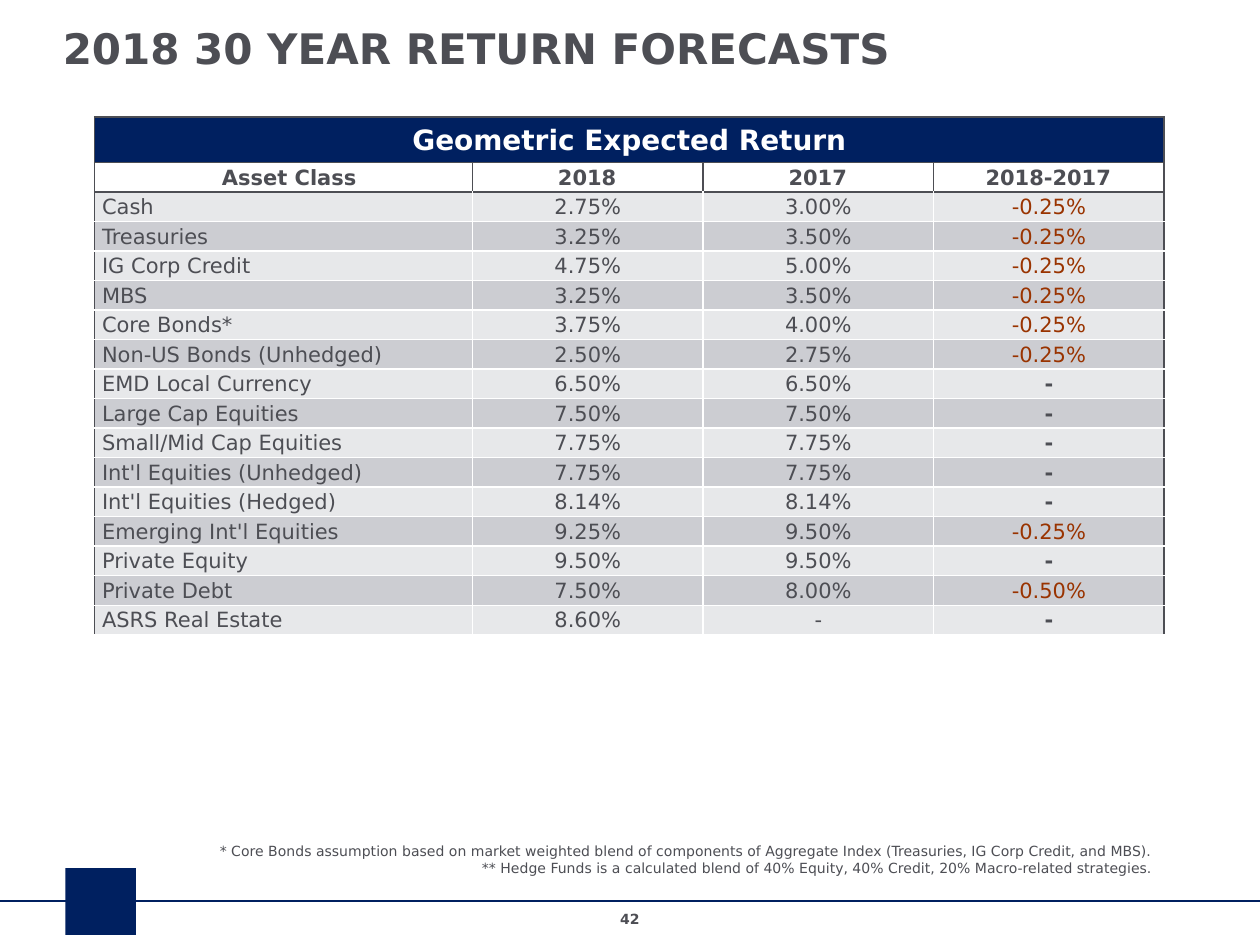
from lxml.etree import SubElement
from pptx import Presentation
from pptx.dml.color import RGBColor
from pptx.enum.shapes import MSO_CONNECTOR, MSO_SHAPE
from pptx.enum.text import MSO_ANCHOR as Anchor, PP_ALIGN as Align
from pptx.oxml.ns import qn
from pptx.util import Inches, Pt

FONT = "DejaVu Sans"
NAVY = RGBColor(0x00, 0x20, 0x60)
GRAY = RGBColor(0x4D, 0x4E, 0x54)
WHITE = RGBColor(0xFF, 0xFF, 0xFF)
RED = RGBColor(0x99, 0x33, 0x00)
BANDS = (RGBColor(0xE7, 0xE8, 0xEA), RGBColor(0xCC, 0xCD, 0xD2))

TABLE_TITLE = "Geometric Expected Return"
HEADINGS = ("Asset Class", "2018", "2017", "2018-2017")
COLUMN_WIDTHS = (3, 1.83, 1.83, 1.83)
TITLE_ROW_HEIGHT = 0.36
RETURNS = [
    ("Cash", "2.75%", "3.00%", "-0.25%"),
    ("Treasuries", "3.25%", "3.50%", "-0.25%"),
    ("IG Corp Credit", "4.75%", "5.00%", "-0.25%"),
    ("MBS", "3.25%", "3.50%", "-0.25%"),
    ("Core Bonds*", "3.75%", "4.00%", "-0.25%"),
    ("Non-US Bonds (Unhedged)", "2.50%", "2.75%", "-0.25%"),
    ("EMD Local Currency", "6.50%", "6.50%", "-"),
    ("Large Cap Equities", "7.50%", "7.50%", "-"),
    ("Small/Mid Cap Equities", "7.75%", "7.75%", "-"),
    ("Int'l Equities (Unhedged)", "7.75%", "7.75%", "-"),
    ("Int'l Equities (Hedged)", "8.14%", "8.14%", "-"),
    ("Emerging Int'l Equities", "9.25%", "9.50%", "-0.25%"),
    ("Private Equity", "9.50%", "9.50%", "-"),
    ("Private Debt", "7.50%", "8.00%", "-0.50%"),
    ("ASRS Real Estate", "8.60%", "-", "-"),
]
FOOTNOTES = (
    "* Core Bonds assumption based on market weighted blend of components of "
    "Aggregate Index (Treasuries, IG Corp Credit, and MBS).",
    "** Hedge Funds is a calculated blend of 40% Equity, 40% Credit, "
    "20% Macro-related strategies.",
)


def style_paragraph(para, size, color=GRAY, bold=False, align=Align.LEFT):
    para.alignment = align
    font = para.font
    font.name, font.size, font.bold = FONT, Pt(size), bold
    font.color.rgb = color


def add_text(page, left, top, width, height, lines, size, bold=False,
             align=Align.LEFT):
    box = page.shapes.add_textbox(
        Inches(left), Inches(top), Inches(width), Inches(height))
    frame = box.text_frame
    frame.word_wrap = True
    frame.text = "\n".join(lines)
    for para in frame.paragraphs:
        style_paragraph(para, size, bold=bold, align=align)
    return frame


def add_title(page, left, top, width, height):
    frame = add_text(page, left, top, width, height,
                     ["2018 30 YEAR RETURN FORECASTS"], 24, bold=True)
    frame.vertical_anchor = Anchor.BOTTOM
    frame.margin_bottom = 0


def add_footer(page, left, top, width):
    """Draw the rule at the given top, its square and the page number."""
    rule = page.shapes.add_connector(
        MSO_CONNECTOR.STRAIGHT, Inches(left), Inches(top),
        Inches(left + width), Inches(top))
    rule.line.color.rgb = NAVY
    rule.line.width = Pt(1.5)
    SubElement(rule.line._get_or_add_ln().getparent(), qn("a:effectLst"))

    square = page.shapes.add_shape(
        MSO_SHAPE.RECTANGLE, Inches(left + 0.52), Inches(top - 0.26),
        Inches(0.56), Inches(0.53))
    square.shadow.inherit = False
    square.fill.solid()
    square.fill.fore_color.rgb = NAVY
    square.line.fill.background()

    number_width = 2.33
    add_text(page, left + (width - number_width) / 2, top + 0.03,
             number_width, 0.24, ["42"], 8, bold=True, align=Align.CENTER)


def set_borders(cell, left, right, top, bottom):
    properties = cell._tc.get_or_add_tcPr()
    sides = zip(("a:lnL", "a:lnR", "a:lnT", "a:lnB"), (left, right, top, bottom))
    for index, (tag, color) in enumerate(sides):
        line = SubElement(properties, qn(tag), w=str(Pt(1)))
        fill = SubElement(line, qn("a:solidFill"))
        SubElement(fill, qn("a:srgbClr"), val=str(color))
        properties.remove(line)
        properties.insert(index, line)


def fill_cell(cell, text, fill, size=12, color=GRAY, bold=False,
              align=Align.CENTER, indent=0.01):
    cell.text = text
    cell.vertical_anchor = Anchor.MIDDLE
    cell.margin_left = Inches(indent)
    cell.margin_top = cell.margin_right = Inches(0.01)
    cell.margin_bottom = 0
    cell.fill.solid()
    cell.fill.fore_color.rgb = fill
    style_paragraph(cell.text_frame.paragraphs[0], size, color, bold, align)


def fill_return_row(table, row, values):
    last = len(values) - 1
    for column, text in enumerate(values):
        cell = table.cell(row, column)
        is_change = column == last
        fill_cell(
            cell, text, BANDS[row % 2],
            color=RED if is_change and text != "-" else GRAY,
            bold=is_change and text == "-",
            align=Align.CENTER if column else Align.LEFT,
            indent=0.01 if column else 0.06)
        set_borders(cell,
                    left=WHITE if column else GRAY,
                    right=GRAY if is_change else WHITE,
                    top=GRAY if row == 2 else WHITE,
                    bottom=WHITE)


def add_return_table(page, left, top, width, height):
    row_count, column_count = len(RETURNS) + 2, len(HEADINGS)
    table = page.shapes.add_table(
        row_count, column_count, Inches(left), Inches(top),
        Inches(width), Inches(height)).table
    for column, column_width in zip(table.columns, COLUMN_WIDTHS):
        column.width = Inches(column_width)
    for row in table.rows:
        row.height = Inches((height - TITLE_ROW_HEIGHT) / (row_count - 1))
    table.rows[0].height = Inches(TITLE_ROW_HEIGHT)

    table.cell(0, 0).merge(table.cell(0, column_count - 1))
    fill_cell(table.cell(0, 0), TABLE_TITLE, NAVY, 16, WHITE, bold=True)
    for column, heading in enumerate(HEADINGS):
        fill_cell(table.cell(1, column), heading, WHITE, bold=True,
                  indent=0 if column else 0.1)
        for row in (0, 1):
            set_borders(table.cell(row, column), GRAY, GRAY, GRAY, GRAY)
    for row, values in enumerate(RETURNS, start=2):
        fill_return_row(table, row, values)


def main():
    deck = Presentation()
    deck.slide_width, deck.slide_height = Inches(10), Inches(7.5)
    page = deck.slides.add_slide(deck.slide_layouts[6])
    add_footer(page, 0, 7.15, 10)
    add_title(page, 0.4, 0.12, 9, 0.46)
    add_text(page, 0.75, 6.64, 8.5, 0.37, FOOTNOTES, 8, align=Align.RIGHT)
    add_return_table(page, 0.75, 0.93, 8.5, 4.11)
    deck.save("out.pptx")


if __name__ == "__main__":
    main()
